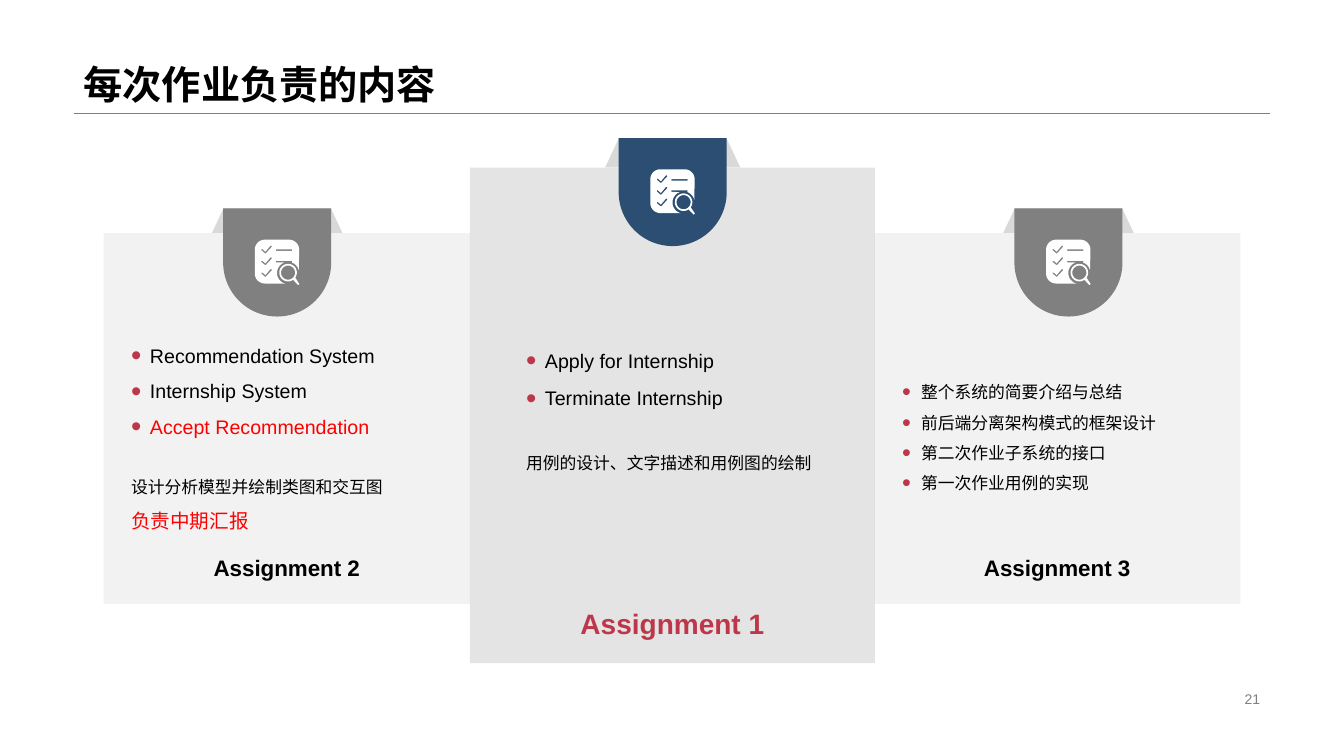
from dataclasses import dataclass
from math import cos, radians, sin

from lxml.etree import SubElement
from pptx import Presentation
from pptx.dml.color import RGBColor
from pptx.enum.shapes import MSO_CONNECTOR, MSO_SHAPE
from pptx.enum.text import MSO_ANCHOR as Anchor, MSO_AUTO_SIZE as AutoSize, PP_ALIGN as Align
from pptx.oxml.ns import qn
from pptx.util import Pt

BLACK = RGBColor(0x00, 0x00, 0x00)
WHITE = RGBColor(0xFF, 0xFF, 0xFF)
RED = RGBColor(0xFF, 0x00, 0x00)
CRIMSON = RGBColor(0xBD, 0x37, 0x4A)
NAVY = RGBColor(0x2B, 0x4E, 0x72)
GRAY = RGBColor(0x80, 0x80, 0x80)
SILVER = RGBColor(0xD9, 0xD9, 0xD9)
PALE = RGBColor(0xF2, 0xF2, 0xF2)
FONT = "Arial"
FOLD_W, FOLD_H, BADGE = 96.4, 20.9, 77.2


@dataclass
class Line:
    text: str
    size: float = 14
    color: RGBColor = BLACK
    bullet: bool = True
    before: float = 0


@dataclass
class Card:
    label: str
    label_size: float
    label_color: RGBColor
    box: tuple[float, float, float, float]
    fill: RGBColor
    alpha: int
    badge_x: float  # centre of the badge
    badge_y: float
    badge_color: RGBColor
    holder: int  # placeholder index of the list
    list_box: tuple[float, float, float, float]
    spacing: float
    lines: list[Line]


CARDS = [
    Card("Assignment 3", 16, BLACK, (624.3, 166.5, 261.8, 264.8), PALE, 100,
         763.2, 148.9, GRAY, 4, (637.2, 233.3, 237.6, 151.2), 1.5,
         [Line("整个系统的简要介绍与总结", 12), Line("前后端分离架构模式的框架设计", 12),
          Line("第二次作业子系统的接口", 12), Line("第一次作业用例的实现", 12)]),
    Card("Assignment 2", 16, BLACK, (74, 166.5, 261.8, 264.8), PALE, 100,
         198, 148.9, GRAY, 2, (86.4, 233.3, 211, 151.2), 1.5,
         [Line("Recommendation System"), Line("Internship System"),
          Line("Accept Recommendation", color=RED),
          Line("设计分析模型并绘制类图和交互图", 12, bullet=False, before=20.7),
          Line("负责中期汇报", color=RED, bullet=False)]),
    Card("Assignment 1", 20, CRIMSON, (335.7, 119.7, 289.3, 354), SILVER, 70,
         480.5, 98.6, NAVY, 1, (368.6, 187.2, 219.6, 202.3), 1.6,
         [Line("Apply for Internship"), Line("Terminate Internship"),
          Line("用例的设计、文字描述和用例图的绘制", 12, bullet=False, before=22)]),
]


def place(sp, x: float, y: float, w: float, h: float) -> None:
    sp.left, sp.top, sp.width, sp.height = Pt(x), Pt(y), Pt(w), Pt(h)


def paint(sp, color: RGBColor, alpha: int = 100) -> None:
    sp.shadow.inherit = False
    sp.line.fill.background()
    sp.fill.solid()
    sp.fill.fore_color.rgb = color
    if alpha < 100:
        clr = sp._element.spPr.find(qn("a:solidFill"))[0]
        SubElement(clr, qn("a:alpha"), val=str(alpha * 1000))


def add_preset(s, kind: MSO_SHAPE, box: tuple, color: RGBColor, alpha: int = 100,
               adjust: tuple = ()):
    sp = s.shapes.add_shape(kind, *map(Pt, box))
    for i, value in enumerate(adjust):
        sp.adjustments[i] = value
    paint(sp, color, alpha)
    return sp


def add_run(p, text: str, size: float, color: RGBColor, bold: bool = False) -> None:
    r = p.add_run()
    r.text = text
    r.font.name, r.font.size, r.font.bold = FONT, Pt(size), bold
    r.font.color.rgb = color


def set_bullet(p, shown: bool) -> None:
    ppr = p._p.get_or_add_pPr()
    indent = Pt(13.5) if shown else 0
    ppr.set("marL", str(indent))
    ppr.set("indent", str(-indent))
    if not shown:
        SubElement(ppr, qn("a:buNone"))
        return
    SubElement(SubElement(ppr, qn("a:buClr")), qn("a:srgbClr"), val=str(CRIMSON))
    SubElement(ppr, qn("a:buSzPct"), val="150000")
    SubElement(ppr, qn("a:buFont"), typeface=FONT)
    SubElement(ppr, qn("a:buChar"), char="•")


def arc(cx: float, cy: float, radius: float, start: float, end: float) -> list[tuple]:
    steps = max(8, int(abs(end - start) / 8))
    angles = [radians(start + (end - start) * i / steps) for i in range(steps + 1)]
    return [(cx + radius * cos(a), cy + radius * sin(a)) for a in angles]


def icon_contours() -> list[list[tuple]]:
    """Checklist with a magnifier, on a grid of 0.72 pt."""
    sheet = [*arc(34, 10, 10, -90, 0), *arc(33, 33, 11, -15, -70),
             (37, 21), (21, 21), (21, 22.5), *arc(33, 33, 11, -110, -255),
             *arc(10, 33.5, 10, 90, 180), *arc(10, 10, 10, 180, 270)]
    bar = [(21, 9.7), (37, 9.7), (37, 11.2), (21, 11.2)]
    tick = [(16.5, 0), (15.5, 0), (10.5, 6), (7.5, 3.3), (6.5, 3.5),
            (6.5, 4.5), (10, 7.5), (11, 7.5), (17, 1)]
    ticks = [[(x, y + top) for x, y in tick] for top in (6, 17.6, 29.2)]
    magnifier = [*arc(33, 32.7, 8.7, 55, 395), (44.2, 44), (43, 45)]
    return [sheet, bar, *ticks, magnifier, arc(33, 32.7, 7, 0, 360)]


def add_icon(s, x: float, y: float) -> None:
    contours = [[(px * 72, py * 72) for px, py in c] for c in icon_contours()]
    fb = s.shapes.build_freeform(*contours[0][0], scale=Pt(0.01))
    for i, points in enumerate(contours):
        if i:
            fb.move_to(*points[0])
        fb.add_line_segments(points[1:], close=True)
    paint(fb.convert_to_shape(Pt(x), Pt(y)), WHITE)


def add_list(s, card: Card) -> None:
    sp = s.placeholders[card.holder]
    place(sp, *card.list_box)
    tf = sp.text_frame
    tf.word_wrap, tf.auto_size = True, AutoSize.NONE
    tf.vertical_anchor = Anchor.MIDDLE
    for i, line in enumerate(card.lines):
        p = tf.add_paragraph() if i else tf.paragraphs[0]
        p.alignment, p.line_spacing = Align.LEFT, card.spacing
        p.space_before, p.space_after = Pt(line.before), Pt(0)
        set_bullet(p, line.bullet)
        add_run(p, line.text, line.size, line.color)
    sp._element.getparent().append(sp._element)  # in front of the panel


def add_card(s, card: Card) -> None:
    x, y = card.badge_x, card.badge_y
    add_preset(s, MSO_SHAPE.TRAPEZOID, (x - FOLD_W / 2, y, FOLD_W, FOLD_H), SILVER,
               adjust=(0.47,))
    panel = add_preset(s, MSO_SHAPE.RECTANGLE, card.box, card.fill, card.alpha)
    tf = panel.text_frame
    tf.vertical_anchor, tf.margin_bottom = Anchor.BOTTOM, Pt(16.3)
    p = tf.paragraphs[0]
    p.alignment = Align.CENTER
    add_run(p, card.label, card.label_size, card.label_color, True)
    add_preset(s, MSO_SHAPE.ROUND_2_SAME_RECTANGLE, (x - BADGE / 2, y, BADGE, BADGE),
               card.badge_color, adjust=(0, 0.5))
    add_icon(s, x - 16, y + 22.3)
    add_list(s, card)


def add_header(s) -> None:
    sp = s.shapes.title
    place(sp, 52.6, 0, 854.6, 80.6)
    tf = sp.text_frame
    tf.auto_size, tf.vertical_anchor = AutoSize.NONE, Anchor.BOTTOM
    p = tf.paragraphs[0]
    p.alignment, p.line_spacing = Align.LEFT, 0.9
    add_run(p, "每次作业负责的内容", 28, BLACK, True)
    rule = s.shapes.add_connector(MSO_CONNECTOR.STRAIGHT, Pt(52.6), Pt(80.9), Pt(907.2), Pt(80.9))
    rule.line.color.rgb, rule.line.width = GRAY, Pt(0.25)
    SubElement(rule._element.spPr, qn("a:effectLst"))


def add_page_number(s) -> None:
    tf = s.shapes.add_textbox(Pt(678.2), Pt(491), Pt(229), Pt(16.6)).text_frame
    tf.word_wrap, tf.vertical_anchor = True, Anchor.MIDDLE
    p = tf.paragraphs[0]
    p.alignment = Align.RIGHT
    add_run(p, "21", 10, GRAY)


def main() -> None:
    prs = Presentation()
    prs.slide_width, prs.slide_height = Pt(960), Pt(540)
    s = prs.slides.add_slide(prs.slide_layouts.get_by_name("Comparison"))
    # Three lists need only three of the four body placeholders
    spare = s.placeholders[3]._element
    spare.getparent().remove(spare)
    add_header(s)
    for card in CARDS:
        add_card(s, card)
    add_page_number(s)
    prs.save("out.pptx")


if __name__ == "__main__":
    main()
